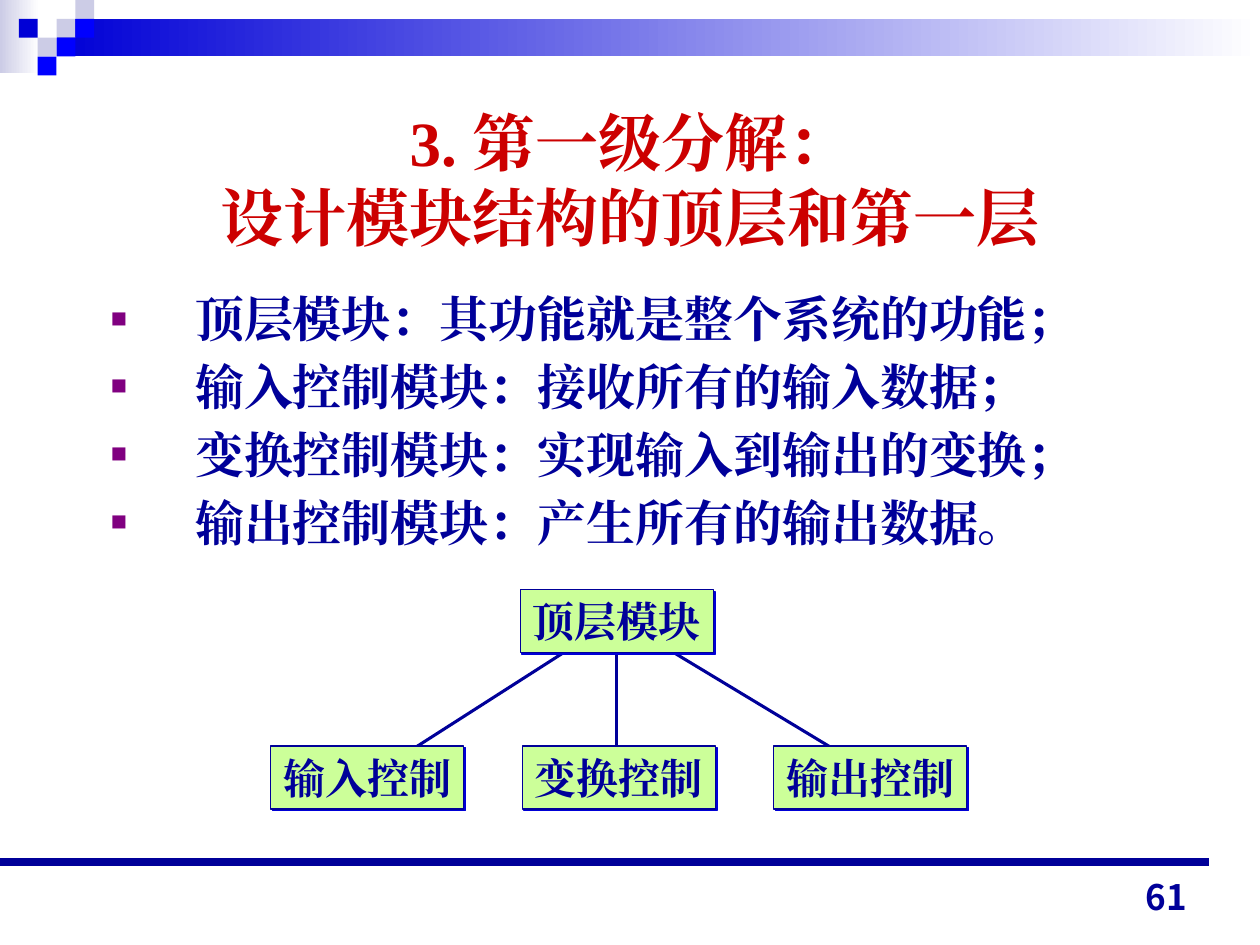
from typing import NamedTuple

from lxml.etree import SubElement
from pptx import Presentation
from pptx.dml.color import RGBColor
from pptx.enum.shapes import MSO_CONNECTOR, MSO_SHAPE
from pptx.enum.text import MSO_ANCHOR, MSO_AUTO_SIZE, PP_ALIGN
from pptx.oxml.ns import qn
from pptx.util import Cm, Pt

COLORS = {
    "navy": "000099", "blue": "0000D6", "bright": "0000FF", "pale": "CCCCE6",
    "white": "FFFFFF", "red": "CC0000", "purple": "800080", "green": "CCFF99",
}
SERIF = "Times New Roman"
SANS = "Noto Sans CJK JP"
TILE = 0.38
MODULE_WIDTH, MODULE_HEIGHT = 3.89, 1.27


class Tile(NamedTuple):
    column: int
    row: int
    color: str


class Module(NamedTuple):
    label: str
    left: float
    top: float


class Link(NamedTuple):
    start: tuple[float, float]
    end: tuple[float, float]
    width: float = 1.75


TILES = [
    Tile(3, 1, "pale"), Tile(4, 0, "pale"), Tile(4, 1, "bright"), Tile(2, 2, "pale"),
    Tile(1, 1, "blue"), Tile(3, 2, "bright"), Tile(2, 3, "bright"),
]
FOOTER_RULE = Link((0, 17.37), (24.38, 17.37), 4.5)
LINKS = [
    Link((17.17, 15.32), (13.54, 13.13)),
    Link((12.42, 15.37), (12.42, 13.08)),
    Link((8.15, 15.21), (11.48, 13.08)),
]
MODULES = [Module("顶层模块", 10.49, 11.89)] + [
    Module(label, 5.46 + 5.07 * index, 15.04)
    for index, label in enumerate(["输入控制", "变换控制", "输出控制"])
]
TITLE = "3. 第一级分解：\v设计模块结构的顶层和第一层"
POINTS = [
    "顶层模块：其功能就是整个系统的功能；",
    "输入控制模块：接收所有的输入数据；",
    "变换控制模块：实现输入到输出的变换；",
    "输出控制模块：产生所有的输出数据。",
]


def rgb(name: str) -> RGBColor:
    return RGBColor.from_string(COLORS[name])


def place(shape, left: float, top: float, width: float, height: float) -> None:
    shape.left, shape.top = Cm(left), Cm(top)
    shape.width, shape.height = Cm(width), Cm(height)


def write(para, text: str, *, size: float, color: str = "navy", font: str = SERIF,
          align=PP_ALIGN.LEFT, leading: float | None = 1.2, before: float = 0) -> None:
    """Fill a paragraph with bold text; leading is a multiple of the size."""
    para.text = text
    para.alignment = align
    para.space_before = Pt(before)
    if leading:
        para.line_spacing = Pt(size * leading)
    for span in para.runs:
        span.font.size, span.font.bold = Pt(size), True
        span.font.name = font
        span.font.color.rgb = rgb(color)
        properties = span.font._element
        properties.set("lang", "zh-CN")
        SubElement(properties, qn("a:ea"), typeface=font)


def add_bullet(para) -> None:
    properties = para._p.get_or_add_pPr()
    properties.set("marL", str(Cm(1.7)))
    properties.set("indent", str(-Cm(1.7)))
    tint = SubElement(properties, qn("a:buClr"))
    SubElement(tint, qn("a:srgbClr"), val=COLORS["purple"])
    SubElement(properties, qn("a:buSzPct"), val="55000")
    SubElement(properties, qn("a:buFont"), typeface=SERIF)
    SubElement(properties, qn("a:buChar"), char="■")


def add_rectangle(page, left: float, top: float, width: float, height: float,
                  color: str, fade_to: str | None = None):
    """Add a borderless rectangle, fading left to right if fade_to is given."""
    box = page.shapes.add_shape(MSO_SHAPE.RECTANGLE, Cm(left), Cm(top), Cm(width), Cm(height))
    box.shadow.inherit = False
    box.line.fill.background()
    if fade_to:
        box.fill.gradient()
        box.fill.gradient_angle = 0
        for stop, name in zip(box.fill.gradient_stops, (color, fade_to)):
            stop.color.rgb = rgb(name)
    else:
        box.fill.solid()
        box.fill.fore_color.rgb = rgb(color)
    return box


def add_link(page, link: Link) -> None:
    ends = [Cm(value) for value in link.start + link.end]
    line = page.shapes.add_connector(MSO_CONNECTOR.STRAIGHT, *ends)
    line.line.color.rgb = rgb("navy")
    line.line.width = Pt(link.width)
    SubElement(line._element.spPr, qn("a:effectLst"))


def add_module(page, module: Module) -> None:
    box = add_rectangle(page, module.left, module.top, MODULE_WIDTH, MODULE_HEIGHT, "green")
    box.line.color.rgb = rgb("navy")
    box.line.width = Pt(0.75)
    effects = box._element.spPr.find(qn("a:effectLst"))
    shadow = SubElement(effects, qn("a:outerShdw"), dist=str(Pt(1.4)), dir="2700000",
                        algn="ctr", rotWithShape="0")
    SubElement(shadow, qn("a:srgbClr"), val=COLORS["blue"])
    frame = box.text_frame
    frame.word_wrap = False
    frame.auto_size = MSO_AUTO_SIZE.SHAPE_TO_FIT_TEXT
    frame.vertical_anchor = MSO_ANCHOR.TOP
    write(frame.paragraphs[0], module.label, size=24)


def add_banner(page) -> None:
    add_rectangle(page, 0, 0, 0.79, 1.47, "pale", "white")
    add_rectangle(page, 1.14, TILE, 24.26, 0.76, "blue", "white")
    for tile in TILES:
        add_rectangle(page, tile.column * TILE, tile.row * TILE, TILE, TILE, tile.color)


def fill_placeholders(page) -> None:
    title, body = page.placeholders
    place(title, 1.27, 1.7, 22.86, 3.81)
    place(body, 1.98, 5.69, 21.95, 6.02)
    for holder, anchor in ((title, MSO_ANCHOR.MIDDLE), (body, MSO_ANCHOR.TOP)):
        holder.text_frame.auto_size = MSO_AUTO_SIZE.NONE
        holder.text_frame.vertical_anchor = anchor
    write(title.text_frame.paragraphs[0], TITLE, size=36, color="red", align=PP_ALIGN.CENTER)
    frame = body.text_frame
    for index, point in enumerate(POINTS):
        para = frame.add_paragraph() if index else frame.paragraphs[0]
        write(para, point, size=28, align=PP_ALIGN.JUSTIFY, before=5.2)
        add_bullet(para)


def add_page_number(page, number: str) -> None:
    box = page.shapes.add_textbox(Cm(18.26), Cm(17.35), Cm(5.92), Cm(1.27))
    frame = box.text_frame
    frame.word_wrap = True
    frame.vertical_anchor = MSO_ANCHOR.BOTTOM
    write(frame.paragraphs[0], number, size=20, font=SANS, align=PP_ALIGN.RIGHT, leading=None)


def main() -> None:
    deck = Presentation()
    deck.slide_width, deck.slide_height = Cm(25.4), Cm(19.05)
    page = deck.slides.add_slide(deck.slide_layouts[1])
    add_banner(page)
    fill_placeholders(page)
    for link in [FOOTER_RULE, *LINKS]:
        add_link(page, link)
    for module in MODULES:
        add_module(page, module)
    add_page_number(page, "61")
    deck.save("out.pptx")


if __name__ == "__main__":
    main()
